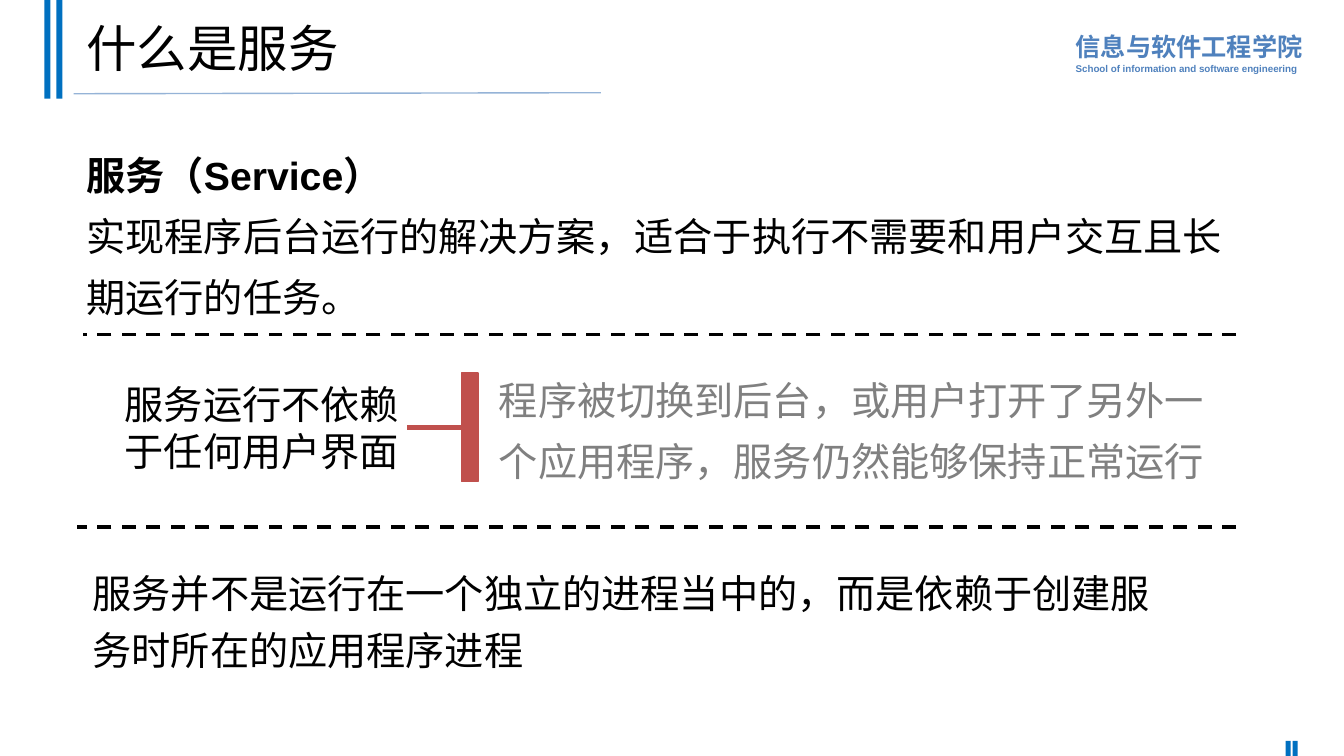
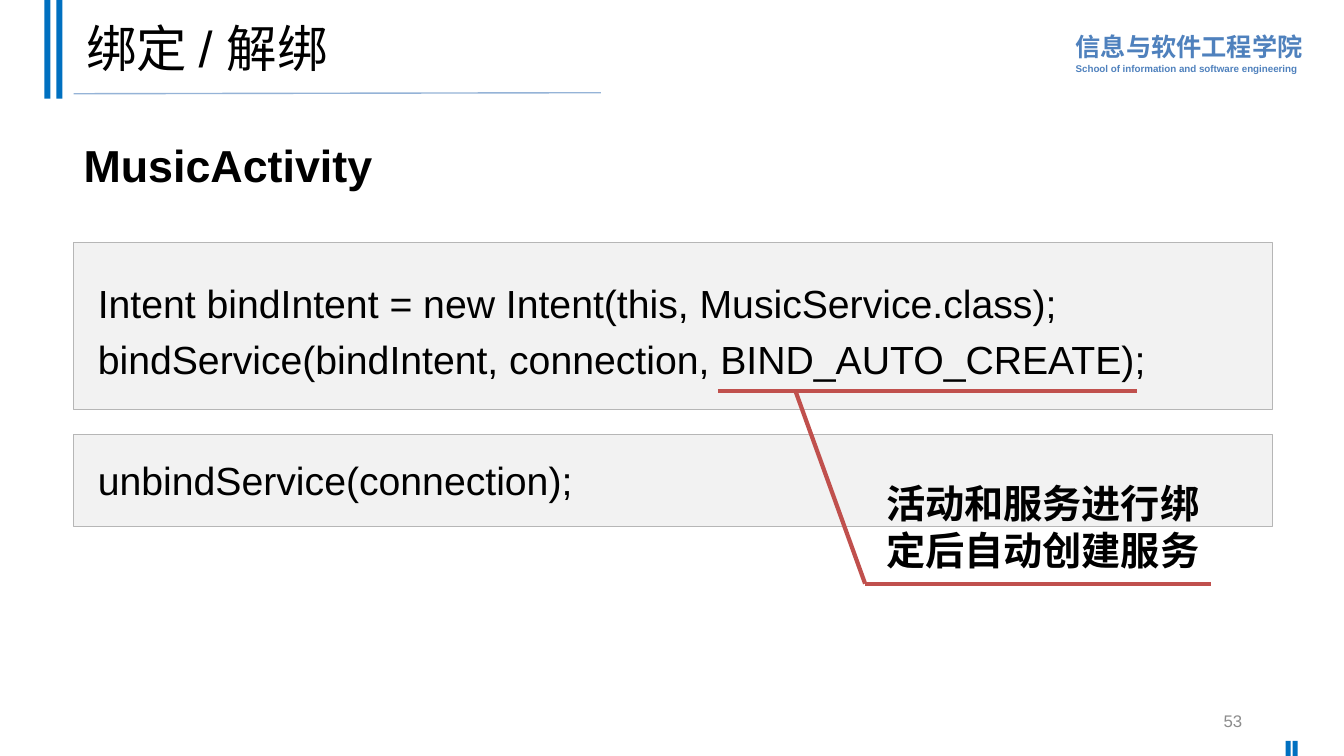
from lxml.etree import SubElement
from pptx import Presentation
from pptx.dml.color import RGBColor
from pptx.enum.dml import MSO_LINE
from pptx.enum.shapes import MSO_CONNECTOR, MSO_SHAPE
from pptx.enum.text import MSO_ANCHOR, PP_ALIGN
from pptx.oxml.ns import qn
from pptx.util import Inches, Pt

COLORS = {
    "band": "0070C0", "school": "4F81BD", "rule": "95B3D7",
    "accent": "C0504D", "text": "000000", "muted": "808080",
    "number": "8C8C8C", "code_fill": "F2F2F2", "code_line": "B6B6B6",
}
BODY = {"size": Pt(28), "color": "text"}
BOLD = {**BODY, "bold": True}


def write(shape, lines, frame_format=None, paragraph_format=None):
    """Fill a shape with (text, font format) paragraphs."""
    frame = shape.text_frame
    frame_values = {"word_wrap": True, "vertical_anchor": MSO_ANCHOR.TOP,
                    **(frame_format or {})}
    paragraph_values = {"alignment": PP_ALIGN.LEFT, **(paragraph_format or {})}
    for name, value in frame_values.items():
        setattr(frame, name, value)
    for index, (text, font_format) in enumerate(lines):
        paragraph = frame.add_paragraph() if index else frame.paragraphs[0]
        paragraph.text = text
        for name, value in paragraph_values.items():
            setattr(paragraph, name, value)
        for run in paragraph.runs:
            run.font.name = "Arial"
            for name, value in font_format.items():
                if name == "color":
                    run.font.color.rgb = RGBColor.from_string(COLORS[value])
                else:
                    setattr(run.font, name, value)


def draw(slide, kind, box, color, width=None, line_color=None):
    """Draw a line (start and end) or a rectangle (left, top, width, height)."""
    lengths = [Inches(value) for value in box]
    if kind == "line":
        shape = slide.shapes.add_connector(MSO_CONNECTOR.STRAIGHT, *lengths)
        SubElement(shape._element.spPr, qn("a:effectLst"))
    else:
        shape = slide.shapes.add_shape(MSO_SHAPE.RECTANGLE, *lengths)
        shape.shadow.inherit = False
        shape.fill.solid()
        shape.fill.fore_color.rgb = RGBColor.from_string(COLORS[color])
    if width:
        shape.line.width = Pt(width)
        shape.line.color.rgb = RGBColor.from_string(COLORS[line_color or color])
    else:
        shape.line.fill.background()
    return shape


presentation = Presentation()
presentation.slide_width = Inches(13.33)
presentation.slide_height = Inches(7.5)

# Shared frame: school name, bands, title rule and title
slides = []
for title in ("什么是服务", "绑定 / 解绑"):
    slide = presentation.slides.add_slide(presentation.slide_layouts[6])
    slides.append(slide)
    school = slide.shapes.add_textbox(
        Inches(10.57), Inches(0.23), Inches(2.45), Inches(0.56))
    school_font = {"color": "school", "bold": True}
    write(school,
          [("信息与软件工程学院", {**school_font, "size": Pt(18)}),
           ("School of information and software engineering",
            {**school_font, "size": Pt(7)})],
          paragraph_format={"line_spacing": 1.1})
    for left in (0.44, 0.56):
        draw(slide, "rectangle", (left, 0, 0.06, 0.98), "band")
    for left in (12.75, 12.82):
        draw(slide, "rectangle", (left, 7.35, 0.05, 0.15), "band")
    draw(slide, "line", (0.73, 0.93, 5.96, 0.92), "rule", 1)
    title_box = slide.shapes.add_textbox(
        Inches(0.76), Inches(0.07), Inches(11.5), Inches(0.88))
    write(title_box, [(title, {"size": Pt(36), "color": "text"})],
          {"vertical_anchor": MSO_ANCHOR.MIDDLE}, {"line_spacing": 0.9})

service_slide, binding_slide = slides

# Service slide: definition and properties
service_texts = [
    ((0.76, 1.31, 11.5, 2), 1.3,
     [("服务（Service）", BOLD),
      ("实现程序后台运行的解决方案，适合于执行不需要和用户交互且长期运行的任务。", BODY)]),
    ((1.14, 3.72, 3.26, 1.04), 1.0,
     [("服务运行不依赖于任何用户界面", BODY)]),
    ((4.85, 3.54, 7.4, 1.41), 1.3,
     [("程序被切换到后台，或用户打开了另外一个应用程序，服务仍然能够保持正常运行",
       {**BODY, "color": "muted"})]),
    ((0.82, 5.51, 10.75, 1.25), 1.2,
     [("服务并不是运行在一个独立的进程当中的，而是依赖于创建服务时所在的应用程序进程", BODY)]),
]
for box, spacing, lines in service_texts:
    text_box = service_slide.shapes.add_textbox(*[Inches(value) for value in box])
    write(text_box, lines, paragraph_format={"line_spacing": spacing})

# Service slide: dashed dividers
for left, top in ((0.82, 3.32), (0.76, 5.23)):
    divider = draw(service_slide, "line", (12.26, top, left, top), "text", 2.5)
    divider.line.dash_style = MSO_LINE.DASH

# Service slide: bar joined to its label
bar = draw(service_slide, "rectangle", (4.58, 3.7, 0.16, 1.08), "accent", 1)
stem = draw(service_slide, "line", (4.04, 4.24, 4.74, 4.24), "accent", 3.5)
stem.end_connect(bar, 3)

# Binding slide: code panels
code_blocks = [
    (2.41, 1.65, {"line_spacing": 1.2, "space_before": Pt(12)},
     "Intent bindIntent = new Intent(this, MusicService.class);\n"
     "bindService(bindIntent, connection, BIND_AUTO_CREATE);"),
    (4.31, 0.91, {}, "unbindService(connection);"),
]
for top, height, paragraph_format, code in code_blocks:
    panel = draw(binding_slide, "rectangle", (0.73, top, 11.89, height),
                 "code_fill", 0.75, "code_line")
    write(panel, [(code, BODY)],
          {"vertical_anchor": MSO_ANCHOR.MIDDLE, "margin_left": Inches(0.24)},
          paragraph_format)

# Binding slide: heading, callout text and slide number
binding_texts = [
    ((0.73, 1.32, 3.09, 0.64), "MusicActivity", {**BOLD, "size": Pt(32)},
     {"word_wrap": False}, {}),
    ((8.69, 4.71, 3.57, 1.04), "活动和服务进行绑定后自动创建服务", BOLD, {}, {}),
    ((9.42, 6.95, 3, 0.4), "53", {"size": Pt(12), "color": "number"},
     {"vertical_anchor": MSO_ANCHOR.MIDDLE}, {"alignment": PP_ALIGN.RIGHT}),
]
for box, text, font_format, frame_format, paragraph_format in binding_texts:
    text_box = binding_slide.shapes.add_textbox(*[Inches(value) for value in box])
    write(text_box, [(text, font_format)], frame_format, paragraph_format)

# Binding slide: callout lines
for ends in ((7.12, 3.88, 11.28, 3.88),
             (7.89, 3.88, 8.58, 5.79),
             (8.58, 5.79, 12.01, 5.79)):
    draw(binding_slide, "line", ends, "accent", 3)

presentation.save("out.pptx")
